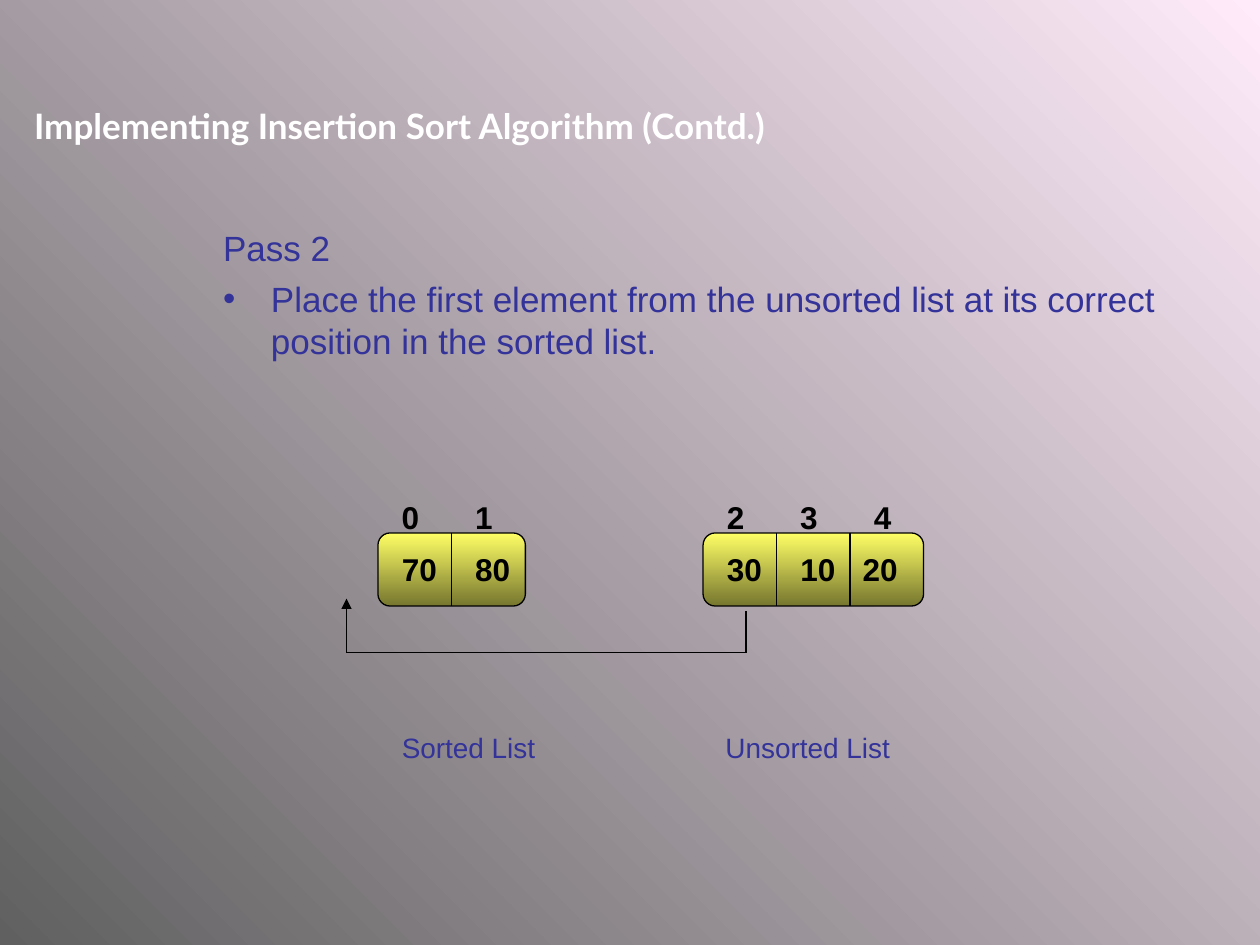
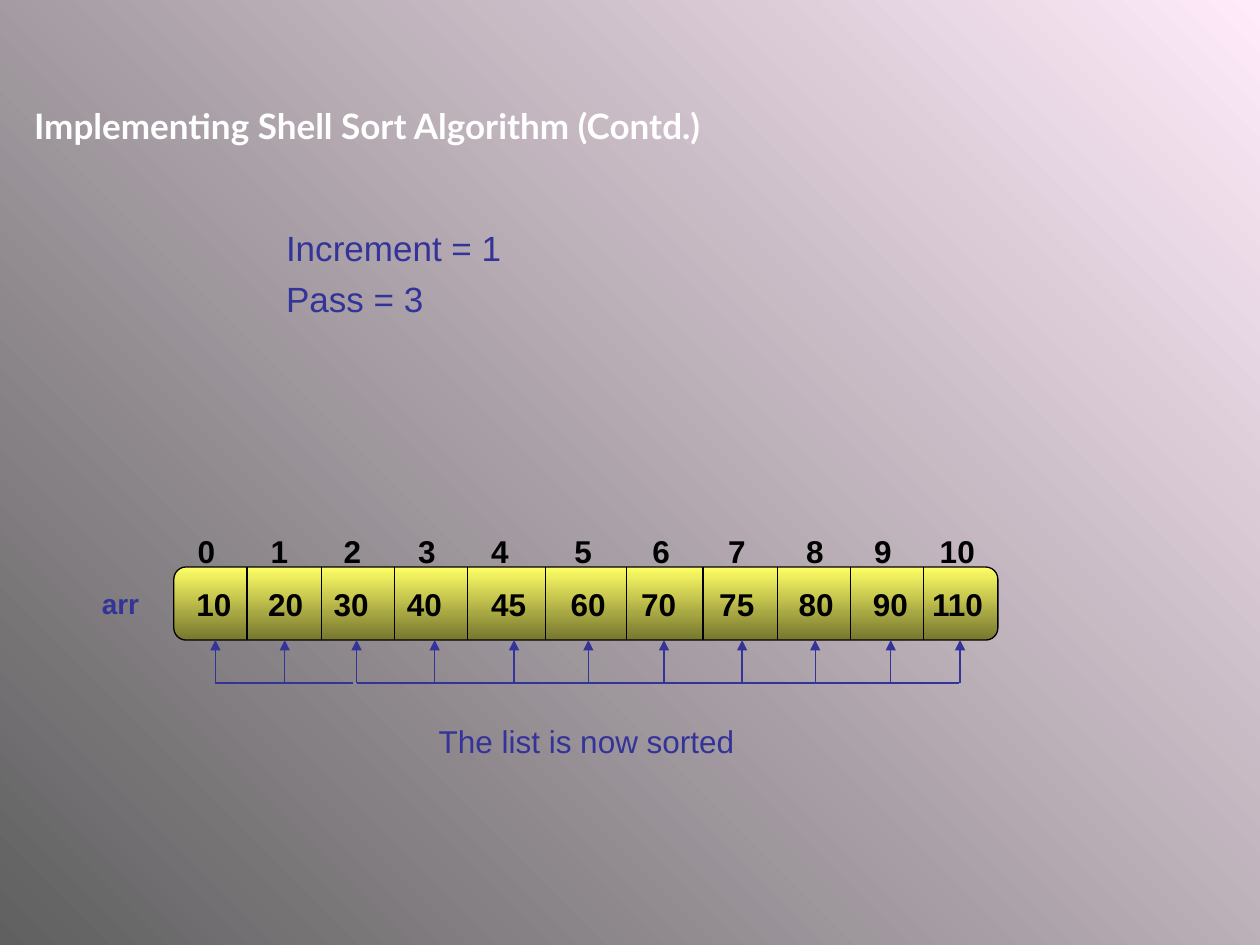
from lxml import etree
from pptx import Presentation
from pptx import util as u
from pptx.dml.color import RGBColor
from pptx.enum import shapes, text
from pptx.oxml.ns import qn

COLUMN = ROW = u.Inches(1)
COLUMNS, ROWS = 10, 7.5
CELL_WIDTH = 7 / 12
CELL_HEIGHT = 0.58
INK = RGBColor(0x33, 0x33, 0x99)
BLACK = RGBColor(0x00, 0x00, 0x00)
WHITE = RGBColor(0xFF, 0xFF, 0xFF)
BACKGROUND = (RGBColor(0x60, 0x60, 0x60), RGBColor(0xFF, 0xEB, 0xFA))
CELL_FILL = (RGBColor(0xFF, 0xFF, 0x66), RGBColor(0x76, 0x76, 0x2F))


def grid(left, top, width, height):
    """Turn columns and rows into slide lengths."""
    return int(left * COLUMN), int(top * ROW), int(width * COLUMN), int(height * ROW)


def paint_gradient(fill, colours, angle):
    """Fill with a two-colour linear gradient."""
    fill.gradient()
    fill.gradient_angle = angle
    for stop, colour in zip(fill.gradient_stops, colours):
        stop.color.rgb = colour


def write(paragraph, words, size=18, colour=BLACK, font="Arial", bold=False,
          align=text.PP_ALIGN.LEFT, space_before=0):
    """Write one formatted run into a paragraph."""
    paragraph.alignment = align
    paragraph.space_before = u.Pt(space_before)
    run = paragraph.add_run()
    run.text = words
    run.font.name = font
    run.font.size = u.Pt(size)
    run.font.bold = bold
    run.font.color.rgb = colour


def indent(paragraph, margin, hanging, bullet=None):
    """Set a hanging indent, with a bullet character or none."""
    properties = paragraph._p.get_or_add_pPr()
    properties.set("marL", str(u.Inches(margin)))
    properties.set("indent", str(-u.Inches(hanging)))
    if bullet:
        etree.SubElement(properties, qn("a:buChar"), char=bullet)
    else:
        etree.SubElement(properties, qn("a:buNone"))


def place(placeholder, *area):
    """Move a placeholder and set its text from the top without shrinking."""
    placeholder.left, placeholder.top, placeholder.width, placeholder.height = grid(*area)
    frame = placeholder.text_frame
    frame.auto_size = text.MSO_AUTO_SIZE.NONE
    frame.vertical_anchor = text.MSO_ANCHOR.TOP
    return frame


def add_page(presentation, title, lines, body_height, margin, hanging, level=0):
    """Add a slide with a title and body lines given as (words, bullet)."""
    slide = presentation.slides.add_slide(presentation.slide_layouts[1])
    heading = place(slide.shapes.title, 0.17, 0.78, 7.5, 0.44)
    write(heading.paragraphs[0], title, size=20, colour=WHITE, font="Lato", bold=True)
    body = place(slide.placeholders[1], 1.67, 1.75, 8, body_height)
    for number, (words, bullet) in enumerate(lines):
        paragraph = body.add_paragraph() if number else body.paragraphs[0]
        paragraph.level = level
        write(paragraph, words, size=20, colour=INK, space_before=5)
        indent(paragraph, margin, hanging, bullet)
    return slide


def add_label(slide, words, left, top, width, height=0.4, wrap=False, **style):
    """Add a text box holding one line that grows with its text."""
    frame = slide.shapes.add_textbox(*grid(left, top, width, height)).text_frame
    frame.word_wrap = wrap
    frame.auto_size = text.MSO_AUTO_SIZE.SHAPE_TO_FIT_TEXT
    write(frame.paragraphs[0], words, **style)


def add_line(slide, start, end, colour=BLACK, arrow=False):
    """Draw a thin straight line, with an arrowhead at its end on request."""
    line = slide.shapes.add_connector(
        shapes.MSO_CONNECTOR.STRAIGHT, *grid(*start, *end))
    line.line.color.rgb = colour
    line.line.width = u.Pt(0.75)
    if arrow:
        etree.SubElement(line.line._get_or_add_ln(), qn("a:tailEnd"), type="triangle")
    etree.SubElement(line._element.spPr, qn("a:effectLst"))


def add_array(slide, top, right, cells):
    """Draw cells given as (left, index, index offset, value, value offset)."""
    first = cells[0][0]
    box = slide.shapes.add_shape(
        shapes.MSO_SHAPE.ROUNDED_RECTANGLE,
        *grid(first, top, right - first, CELL_HEIGHT))
    box.shadow.inherit = False
    paint_gradient(box.fill, CELL_FILL, 270)
    box.line.color.rgb = BLACK
    box.line.width = u.Pt(0.75)
    for left, index, index_offset, value, value_offset in cells:
        if left > first:
            add_line(slide, (left, top), (left, top + CELL_HEIGHT))
        add_label(slide, index, left + index_offset, top - 0.33,
                  0.2 + 0.14 * len(index), bold=True)
        add_label(slide, value, left + value_offset, top + 0.09,
                  0.19 + 0.16 * len(value), wrap=True, bold=True)


def even_cells(left, first_index, values, offsets):
    """Lay out cells of equal width from a left edge."""
    return [(left + CELL_WIDTH * number, str(first_index + number), 0.09, value, offset)
            for number, (value, offset) in enumerate(zip(values, offsets))]


def build_insertion_sort(presentation):
    """Show the second pass of insertion sort."""
    slide = add_page(
        presentation, "Implementing Insertion Sort Algorithm (Contd.)",
        [("Pass 2", None),
         ("Place the first element from the unsorted list at its correct "
          "position in the sorted list.", "•")],
        body_height=5, margin=0.38, hanging=0.38)
    add_array(slide, 4.23, 4.17, even_cells(3, 0, ["70", "80"], [0.09, 0.09]))
    add_array(slide, 4.23, 7.33,
              even_cells(5.58, 2, ["30", "10", "20"], [0.09, 0.09, 0]))
    source, target, bend = 5.92, 2.75, 5.18
    add_line(slide, (source, 4.85), (source, bend))
    add_line(slide, (source, bend), (target, bend))
    add_line(slide, (target, bend), (target, 4.75), arrow=True)
    for words, left, width in [("Sorted List", 3.09, 1.28), ("Unsorted List", 5.66, 1.53)]:
        add_label(slide, words, left, 5.75, width, 0.37, size=16, colour=INK)


def build_shell_sort(presentation):
    """Show the third pass of Shell sort and its sorted result."""
    slide = add_page(
        presentation, "Implementing Shell Sort Algorithm (Contd.)",
        [("Increment = 1", None), ("Pass = 3", None)],
        body_height=4.58, margin=0.81, hanging=0.31, level=1)
    add_array(slide, 4.5, 7.92, [
        (1.38, "0", 0.09, "10", 0.08),
        (1.96, "1", 0.09, "20", 0.07),
        (2.55, "2", 0.08, "30", 0),
        (3.13, "3", 0.09, "40", 0),
        (3.71, "4", 0.09, "45", 0.09),
        (4.33, "5", 0.13, "60", 0.1),
        (4.97, "6", 0.11, "70", 0.02),
        (5.58, "7", 0.1, "75", 0.03),
        (6.17, "8", 0.13, "80", 0.07),
        (6.75, "9", 0.09, "90", 0.08),
        (7.33, "10", 0.03, "110", -0.03),
    ])
    add_label(slide, "arr", 0.71, 4.61, 0.52, 0.37, size=16, colour=INK, bold=True)
    base, tip = 5.42, 5.08
    for left in (1.71, 2.26, 2.83, 3.45, 4.08, 4.67, 5.27, 5.89, 6.47, 7.07, 7.62):
        add_line(slide, (left, base), (left, tip), INK, arrow=True)
    for left, right in [(1.71, 2.8), (2.83, 4.08), (4, 5.25), (5.2, 6.45), (6.36, 7.61)]:
        add_line(slide, (left, base), (right, base), INK)
    add_label(slide, "The list is now sorted", 3.38, 5.68, 2.55,
              colour=INK, align=text.PP_ALIGN.CENTER)


def main():
    """Build and save the presentation."""
    presentation = Presentation()
    presentation.slide_width = int(COLUMNS * COLUMN)
    presentation.slide_height = int(ROWS * ROW)
    paint_gradient(presentation.slide_master.background.fill, BACKGROUND, 45)
    build_insertion_sort(presentation)
    build_shell_sort(presentation)
    presentation.save("out.pptx")


if __name__ == "__main__":
    main()
